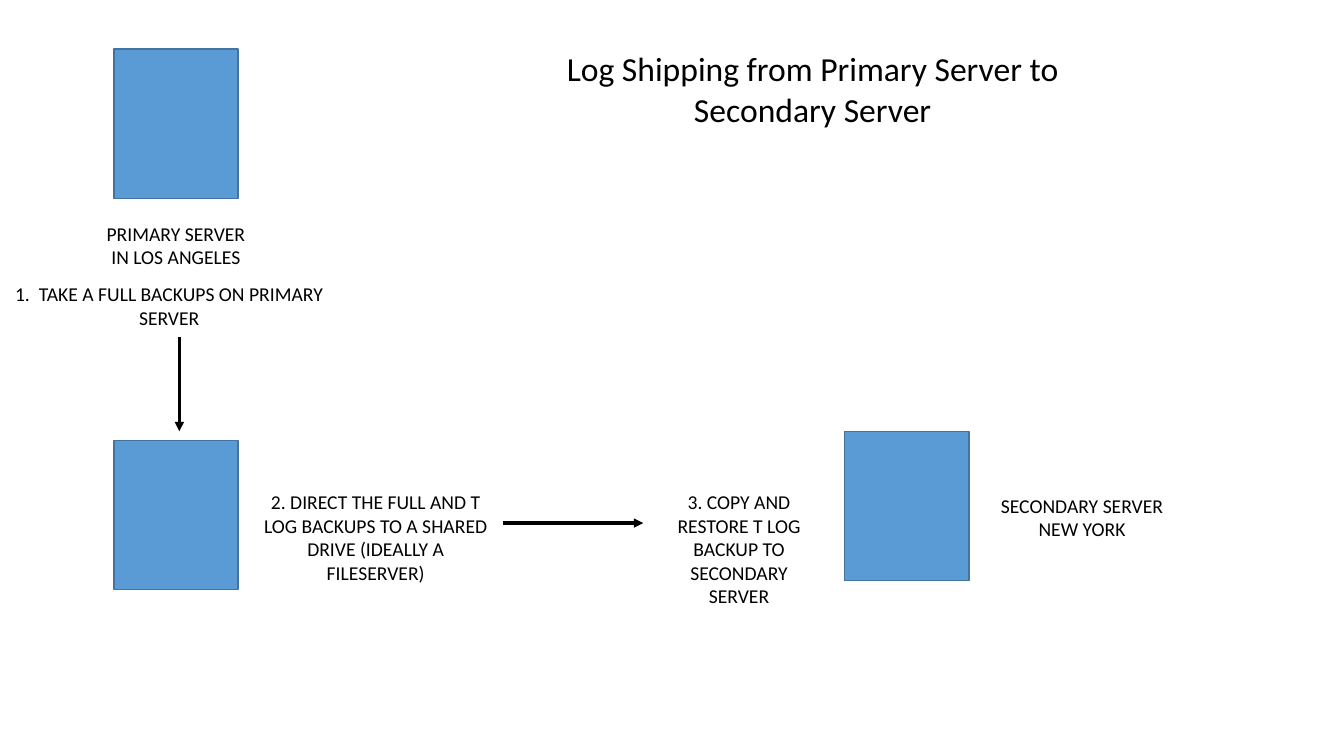
"""Build the log shipping diagram slide."""
from lxml.etree import SubElement
from pptx import Presentation
from pptx.dml.color import RGBColor
from pptx.enum.shapes import MSO_CONNECTOR, MSO_SHAPE
from pptx.enum.text import MSO_AUTO_SIZE, PP_ALIGN
from pptx.oxml.ns import qn
from pptx.util import Cm, Pt

BLUE = RGBColor(0x5B, 0x9B, 0xD5)
DARK_BLUE = RGBColor(0x43, 0x73, 0x9E)
BLACK = RGBColor(0, 0, 0)
LABEL_SIZE, TITLE_SIZE = 14, 24
SERVER_WIDTH, SERVER_HEIGHT = 3.13, 3.76
PRIMARY_LEFT, SECONDARY_TOP = 2.87, 10.87
FLOW_LEFT, STEP_TOP = 12.67, 12.22

SERVERS = [
    (PRIMARY_LEFT, 1.24),
    (PRIMARY_LEFT, 11.1),
    (21.29, SECONDARY_TOP),
]
LABELS = [
    (["Log Shipping from Primary Server to Secondary Server"],
     (FLOW_LEFT, 1.09, 15.62, 2.31), TITLE_SIZE),
    (["PRIMARY SERVER IN LOS ANGELES"], (2.39, 5.46, 4.09, 1.45), LABEL_SIZE),
    (["SECONDARY SERVER", "NEW YORK"], (24.82, 12.32, 4.9, 1.45), LABEL_SIZE),
    (["1.  TAKE A FULL BACKUPS ON PRIMARY SERVER"],
     (0.05, 6.99, 8.43, 1.45), LABEL_SIZE),
    (["2. DIRECT THE FULL AND T LOG BACKUPS TO A SHARED DRIVE "
      "(IDEALLY A FILESERVER)"], (6.27, STEP_TOP, 6.4, 2.64), LABEL_SIZE),
    (["3. COPY AND RESTORE T LOG BACKUP TO SECONDARY SERVER"],
     (16.76, STEP_TOP, 3.73, 3.25), LABEL_SIZE),
]
ARROWS = [
    (4.52, 8.48, 4.52, SECONDARY_TOP),
    (FLOW_LEFT, 13.18, 16.21, 13.18),
]


def add_server(page, left, top):
    server = page.shapes.add_shape(
        MSO_SHAPE.RECTANGLE,
        *map(Cm, (left, top, SERVER_WIDTH, SERVER_HEIGHT)))
    server.shadow.inherit = False
    server.fill.solid()
    server.fill.fore_color.rgb = BLUE
    server.line.color.rgb = DARK_BLUE
    server.line.width = Pt(1)


def add_label(page, lines, place, size):
    frame = page.shapes.add_textbox(*map(Cm, place)).text_frame
    frame.word_wrap = True
    frame.auto_size = MSO_AUTO_SIZE.SHAPE_TO_FIT_TEXT
    frame.text = "\n".join(lines)
    font_format = {"name": "Calibri", "size": Pt(size)}
    for paragraph in frame.paragraphs:
        paragraph.alignment = PP_ALIGN.CENTER
        for span in paragraph.runs:
            for name, value in font_format.items():
                setattr(span.font, name, value)
            span.font.color.rgb = BLACK


def add_arrow(page, ends):
    arrow = page.shapes.add_connector(MSO_CONNECTOR.STRAIGHT, *map(Cm, ends))
    arrow.line.color.rgb = BLACK
    arrow.line.width = Pt(2.25)
    SubElement(arrow.line._get_or_add_ln(), qn("a:tailEnd"), type="triangle")
    SubElement(arrow._element.spPr, qn("a:effectLst"))


deck = Presentation()
deck.slide_width, deck.slide_height = Cm(33.87), Cm(19.05)
page = deck.slides.add_slide(deck.slide_layouts[6])
for position in SERVERS:
    add_server(page, *position)
for label in LABELS:
    add_label(page, *label)
for ends in ARROWS:
    add_arrow(page, ends)
deck.save("out.pptx")
